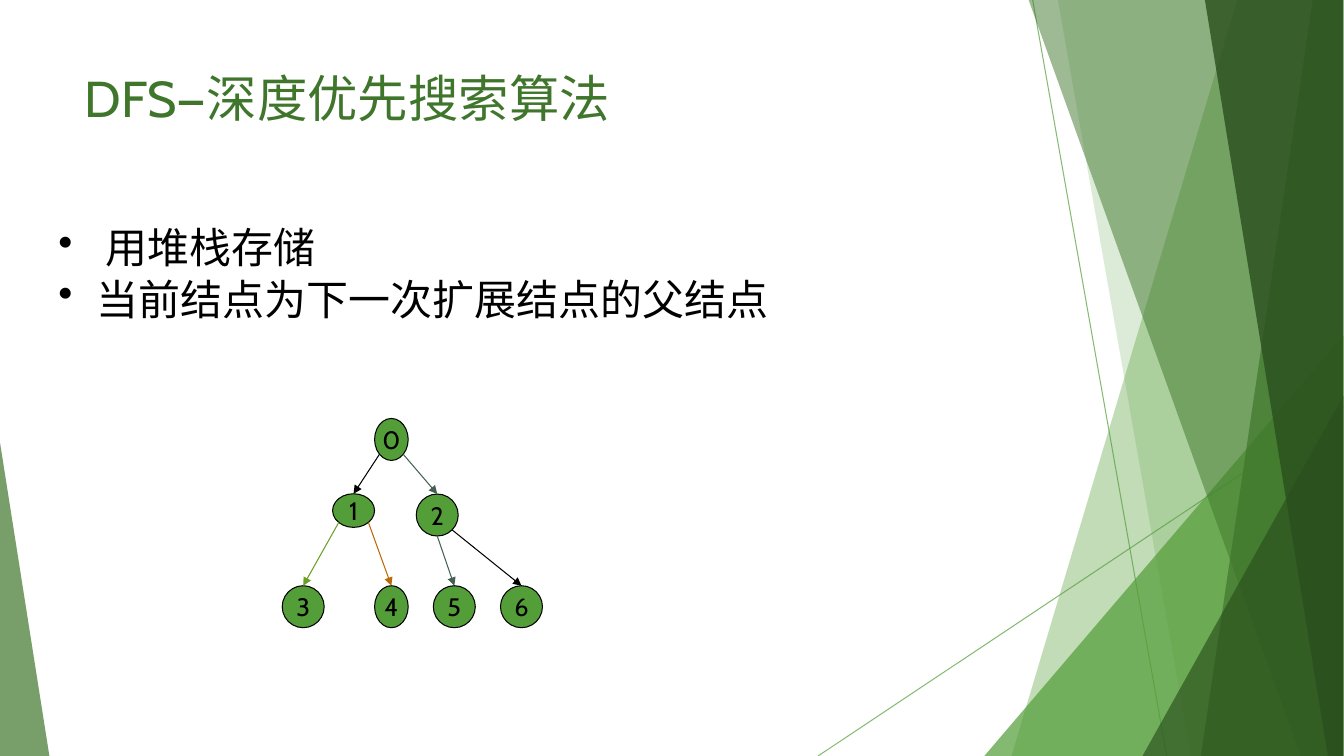
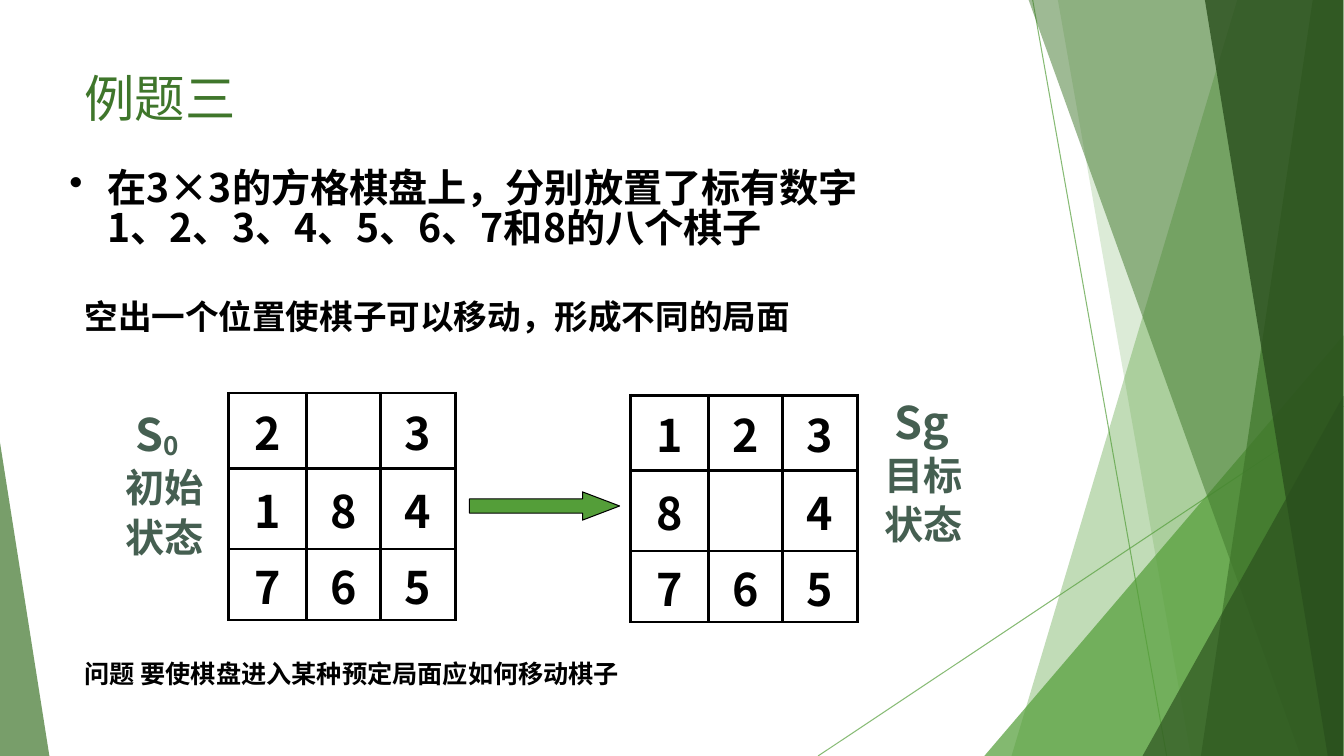
"""Build two slides on depth-first search and the eight-piece puzzle."""
from math import sqrt

from lxml.etree import SubElement
from pptx import Presentation
from pptx.dml.color import RGBColor
from pptx.enum.shapes import MSO_CONNECTOR, MSO_SHAPE as Preset
from pptx.enum.text import MSO_ANCHOR as Anchor, PP_ALIGN as Align
from pptx.oxml.ns import qn
from pptx.util import Pt

WIDTH, HEIGHT = 960.48, 540
BLACK, GREEN, MID, DARK = "000000", "549E39", "3F762B", "2A4F1D"
SLATE, LIME, ORANGE = "455F51", "6B9F25", "BA6906"
CABIN, NOTO, COMIC = "Cabin", "Noto Sans CJK SC", "Comic Neue"
MARGIN = 53.28
LINE_SPACING = 0.85
HANGING = 27.36

RAYS = [((738, 0), (833.76, HEIGHT)), ((960, 290.16), (584.64, HEIGHT))]
BANDS = [
    ("band", 884.16, 722.88, GREEN, 36),
    ("band", 756, 851.04, GREEN, 20),
    ("corner", 703.44, 239.76, GREEN, 72),
    ("band", 735.12, 929.52, MID, 50),
    ("band", 938.16, 858.24, MID, 70),
    ("band", 861.12, 948.96, DARK, 80),
    ("corner", 816.48, 282.96, DARK, 66),
]
LEFT_CORNER = (0, 316.08, 35.28, 223.92)

STACK_POINTS = [" 用堆栈存储", "当前结点为下一次扩展结点的父结点"]
NODES = {
    "0": (279.7, 313.9, 24, 30),
    "1": (252.7, 364.7, 30, 24),
    "2": (312.5, 367.9, 30, 30),
    "3": (216.7, 433.4, 30, 30),
    "4": (279.7, 433.4, 24, 30),
    "5": (324.7, 433.4, 30, 30),
    "6": (372.7, 433.4, 30, 30),
}
EDGES = [
    ("1", "3", -1, LIME),
    ("0", "1", -1, BLACK),
    ("1", "4", 1, ORANGE),
    ("0", "2", 1, SLATE),
    ("2", "5", 0, SLATE),
    ("2", "6", 1, BLACK),
]

RULES = "在3×3的方格棋盘上，分别放置了标有数字\v1、2、3、4、5、6、7和8的八个棋子"
NOTES = [
    ("空出一个位置使棋子可以移动，形成不同的局面", 212.4, 24),
    ("问题 要使棋盘进入某种预定局面应如何移动棋子", 470.3, 18),
]
BOARDS = [
    (163.44, 280.8, ["2 3", "184", "765"]),
    (450.72, 282.24, ["123", "8 4", "765"]),
]
COLUMN_WIDTHS = [55.4, 53.3, 53.3]
ROW_HEIGHTS = [54, 57.4, 50.6]
STATES = [
    (82.8, 292.5, " S", "0", ["初始", "状态"]),
    (624.96, 284, " Sg", "", ["目标", "状态"]),
]
MOVE_ARROW = (335.52, 351.36, 107.28, 20.16)


def rgb(value):
    return RGBColor.from_string(value)


def points(*values):
    return [Pt(value) for value in values]


def style(para, font, size, color, bold=False):
    para.font.name, para.font.size, para.font.bold = font, Pt(size), bold
    para.font.color.rgb = rgb(color)
    props = para._p.pPr.find(qn("a:defRPr"))
    SubElement(props, qn("a:ea")).set("typeface", NOTO)


def bullet(para):
    props = para._p.get_or_add_pPr()
    props.set("marL", str(Pt(HANGING)))
    props.set("indent", str(-Pt(HANGING)))
    SubElement(props, qn("a:buChar")).set("char", "•")


def add_text(page, place, lines, font, bulleted=False, space=6):
    box = page.shapes.add_textbox(*points(*place))
    frame = box.text_frame
    frame.word_wrap = True
    for index, (text, size, color, bold) in enumerate(lines):
        para = frame.add_paragraph() if index else frame.paragraphs[0]
        para.text = text
        para.line_spacing = LINE_SPACING
        if index:
            para.space_before = Pt(space)
        if bulleted:
            bullet(para)
        style(para, font, size, color, bold)
    return frame


def fade(shape, percent):
    color = next(shape._element.spPr.iter(qn("a:srgbClr")))
    SubElement(color, qn("a:alpha")).set("val", str(percent * 1000))


def paint(shape, color, outlined=False):
    shape.shadow.inherit = False
    shape.fill.solid()
    shape.fill.fore_color.rgb = rgb(color)
    if outlined:
        shape.line.color.rgb = rgb(BLACK)
        shape.line.width = Pt(0.75)
    else:
        shape.line.fill.background()


def add_line(page, start, end, color, arrow=False):
    line = page.shapes.add_connector(MSO_CONNECTOR.STRAIGHT, *points(*start, *end))
    line.line.color.rgb = rgb(color)
    line.line.width = Pt(0.75)
    props = line._element.spPr
    if arrow:
        SubElement(props.find(qn("a:ln")), qn("a:tailEnd")).set("type", "triangle")
    SubElement(props, qn("a:effectLst"))
    return line


def add_corner(page, place, apex, color, percent):
    corner = page.shapes.add_shape(Preset.ISOSCELES_TRIANGLE, *points(*place))
    corner.adjustments[0] = apex
    paint(corner, color)
    fade(corner, percent)


def add_band(page, top_x, bottom_x, color, percent):
    builder = page.shapes.build_freeform(Pt(top_x), 0)
    outline = [(960, 0), (960, HEIGHT), (bottom_x, HEIGHT)]
    builder.add_line_segments([points(*corner) for corner in outline])
    band = builder.convert_to_shape()
    paint(band, color)
    fade(band, percent)


def add_page(deck, title):
    page = deck.slides.add_slide(deck.slide_layouts[6])
    for start, end in RAYS:
        fade(add_line(page, start, end, GREEN), 70)
    for kind, first, second, color, percent in BANDS:
        if kind == "band":
            add_band(page, first, second, color, percent)
        else:
            place = (first, second, 960 - first, HEIGHT - second)
            add_corner(page, place, 1, color, percent)
    add_corner(page, LEFT_CORNER, 0, MID, 70)
    add_text(page, (MARGIN, 51, 676.8, 101), [(title, 36, MID, False)], CABIN)
    return page


def add_node(page, label, x, y, width, height):
    place = points(x - width / 2, y - height / 2, width, height)
    node = page.shapes.add_shape(Preset.OVAL, *place)
    paint(node, GREEN, outlined=True)
    frame = node.text_frame
    frame.word_wrap = False
    frame.vertical_anchor = Anchor.MIDDLE
    para = frame.paragraphs[0]
    para.text = label
    para.alignment = Align.CENTER
    style(para, CABIN, 18, BLACK)


def add_edge(page, parent, child, side, color):
    x, y, width, height = NODES[parent]
    reach = 1 / sqrt(2) if side else 1
    start = (x + side * reach * width / 2, y + reach * height / 2)
    child_x, child_y, _, child_height = NODES[child]
    add_line(page, start, (child_x, child_y - child_height / 2), color, arrow=True)


def frame_cell(cell):
    props = cell._tc.get_or_add_tcPr()
    for side in ("lnL", "lnR", "lnT", "lnB"):
        border = SubElement(props, qn(f"a:{side}"), w=str(Pt(2.25)))
        fill = SubElement(border, qn("a:solidFill"))
        SubElement(fill, qn("a:srgbClr")).set("val", BLACK)
    cell.fill.background()


def add_board(page, left, top, rows):
    place = points(left, top, sum(COLUMN_WIDTHS), sum(ROW_HEIGHTS))
    table = page.shapes.add_table(3, 3, *place).table
    table.first_row = table.horz_banding = False
    for column, width in zip(table.columns, COLUMN_WIDTHS):
        column.width = Pt(width)
    for row, height, digits in zip(table.rows, ROW_HEIGHTS, rows):
        row.height = Pt(height)
        for cell, digit in zip(row.cells, digits):
            frame_cell(cell)
            cell.margin_left = cell.margin_right = 0
            cell.margin_top = cell.margin_bottom = 0
            cell.vertical_anchor = Anchor.MIDDLE
            para = cell.text_frame.paragraphs[0]
            para.text = digit.strip()
            para.alignment = Align.CENTER
            style(para, NOTO, 32, BLACK, True)


def build_search(deck):
    page = add_page(deck, "DFS—深度优先搜索算法")
    lines = [(text, 30, BLACK, False) for text in STACK_POINTS]
    add_text(page, (34.56, 160.4, 627.12, 90), lines, CABIN, bulleted=True)
    for label, place in NODES.items():
        add_node(page, label, *place)
    for edge in EDGES:
        add_edge(page, *edge)


def build_puzzle(deck):
    page = add_page(deck, "例题三")
    rules = [(RULES, 28, BLACK, True)]
    add_text(page, (42.48, 118.5, 647.28, 80.64), rules, NOTO, bulleted=True)
    for board in BOARDS:
        add_board(page, *board)
    arrow = page.shapes.add_shape(Preset.RIGHT_ARROW, *points(*MOVE_ARROW))
    arrow.adjustments[1] = 1.314
    paint(arrow, GREEN, outlined=True)
    for left, top, symbol, subscript, words in STATES:
        lines = [(symbol, 32, SLATE, True)]
        lines += [(word, 28, SLATE, True) for word in words]
        frame = add_text(page, (left, top, 83.52, 135), lines, NOTO, space=7)
        if subscript:
            span = frame.paragraphs[0].add_run()
            span.text = subscript
            span._r.get_or_add_rPr().set("baseline", "-10000")
    for text, top, size in NOTES:
        add_text(page, (MARGIN, top, 630, 56), [(text, size, BLACK, True)], COMIC)


def main():
    deck = Presentation()
    deck.slide_width, deck.slide_height = points(WIDTH, HEIGHT)
    build_search(deck)
    build_puzzle(deck)
    deck.save("out.pptx")


if __name__ == "__main__":
    main()
